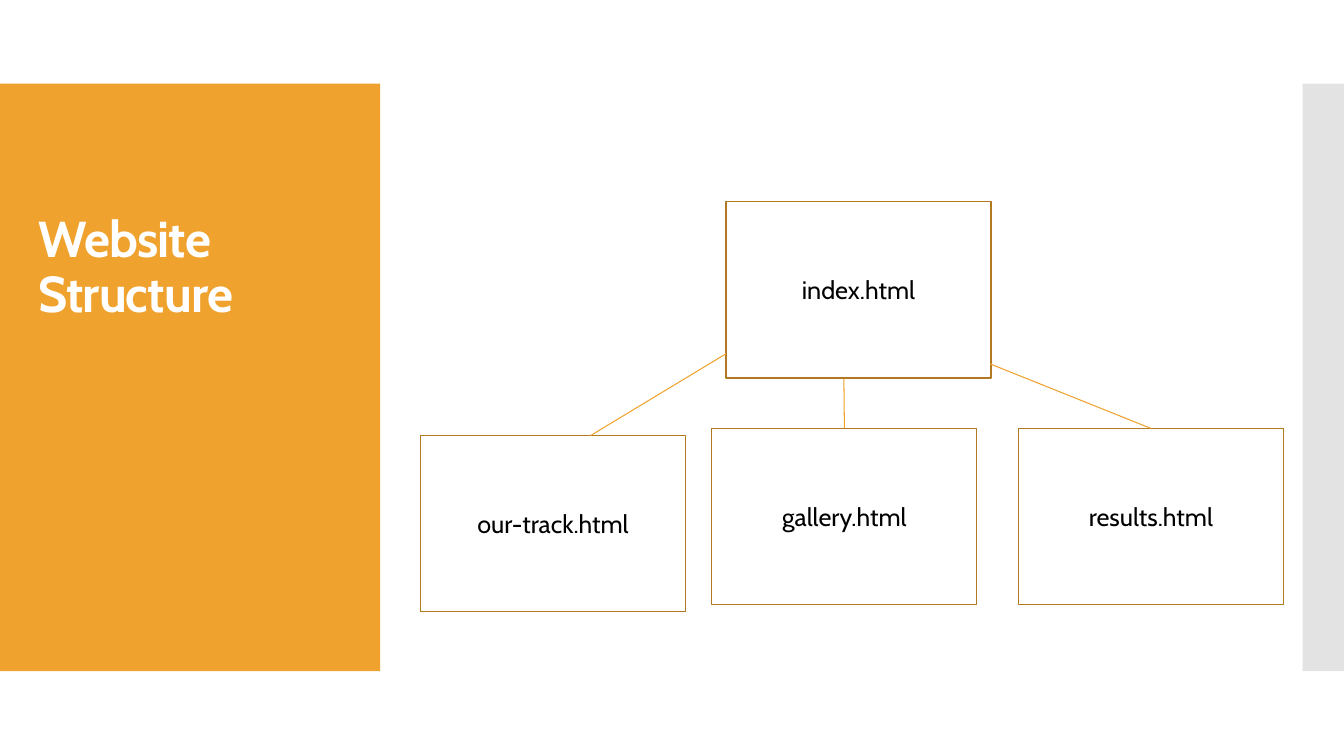
from pptx import Presentation
from pptx import util as u
from pptx.dml.color import RGBColor
from pptx.enum import shapes, text
from pptx.oxml.ns import qn
from lxml import etree

PX = 9144
FONT = "Cabin"
ORANGE = "F0A22E"
BROWN = "B27822"
GREY = "C8C8C8"
WHITE = "FFFFFF"
BLACK = "000000"
PAGE_WIDTH, PAGE_HEIGHT = 263, 175


def px(*lengths):
    return [u.Emu(length * PX) for length in lengths]


def color(value):
    return RGBColor.from_string(value)


def set_font(paragraph, size, value, bold=False):
    paragraph.font.name = FONT
    paragraph.font.size = u.Pt(size)
    paragraph.font.bold = bold
    paragraph.font.color.rgb = color(value)


def add_rectangle(slide, left, top, width, height, fill):
    shape = slide.shapes.add_shape(
        shapes.MSO_SHAPE.RECTANGLE, *px(left, top, width, height))
    shape.shadow.inherit = False
    shape.fill.solid()
    shape.fill.fore_color.rgb = color(fill)
    shape.line.fill.background()
    return shape


def set_opacity(shape, percent):
    fill_color = shape._element.spPr.find(qn("a:solidFill"))[0]
    etree.SubElement(fill_color, qn("a:alpha"), val=str(percent * 1000))


def add_page(slide, name, left, top):
    page = add_rectangle(slide, left, top, PAGE_WIDTH, PAGE_HEIGHT, WHITE)
    page.line.color.rgb = color(BROWN)
    page.line.width = u.Pt(0.85)
    frame = page.text_frame
    frame.text = name
    frame.vertical_anchor = text.MSO_ANCHOR.MIDDLE
    paragraph = frame.paragraphs[0]
    paragraph.alignment = text.PP_ALIGN.CENTER
    set_font(paragraph, 18, BLACK)
    return page


def add_link(slide, start, end):
    link = slide.shapes.add_connector(
        shapes.MSO_CONNECTOR.STRAIGHT, *px(*start, *end))
    link.line.color.rgb = color(ORANGE)
    link.line.width = u.Pt(0.75)
    etree.SubElement(link._element.spPr, qn("a:effectLst"))
    return link


def format_title(slide, title_text):
    title = slide.shapes.title
    title.left, title.top, title.width, title.height = px(28, 123, 322, 287)
    frame = title.text_frame
    frame.text = title_text
    frame.word_wrap = True
    frame.auto_size = text.MSO_AUTO_SIZE.NONE
    frame.vertical_anchor = text.MSO_ANCHOR.MIDDLE
    paragraph = frame.paragraphs[0]
    paragraph.alignment = text.PP_ALIGN.LEFT
    paragraph.line_spacing = 0.9
    set_font(paragraph, 36, WHITE, bold=True)
    paragraph._p.pPr.find(qn("a:defRPr")).set("spc", "-60")
    slide.shapes._spTree.append(title._element)


def main():
    presentation = Presentation()
    presentation.slide_width, presentation.slide_height = px(1333, 750)
    slide = presentation.slides.add_slide(presentation.slide_layouts[5])

    add_rectangle(slide, 0, 83, 377, 583, ORANGE)
    side_band = add_rectangle(slide, 1292, 83, 41, 583, GREY)
    set_opacity(side_band, 50)
    gallery_link = add_link(slide, (837, 375), (837, 425))
    format_title(slide, "Website Structure")

    add_page(slide, "index.html", 720, 200)
    results = add_page(slide, "results.html", 1010, 425)
    add_page(slide, "our-track.html", 417, 432)
    add_link(slide, (720, 351), (586, 432))
    results_link = add_link(slide, (1141, 425), (982, 361))
    gallery = add_page(slide, "gallery.html", 706, 425)

    results_link.begin_connect(results, 0)
    gallery_link.end_connect(gallery, 0)
    presentation.save("out.pptx")


if __name__ == "__main__":
    main()
